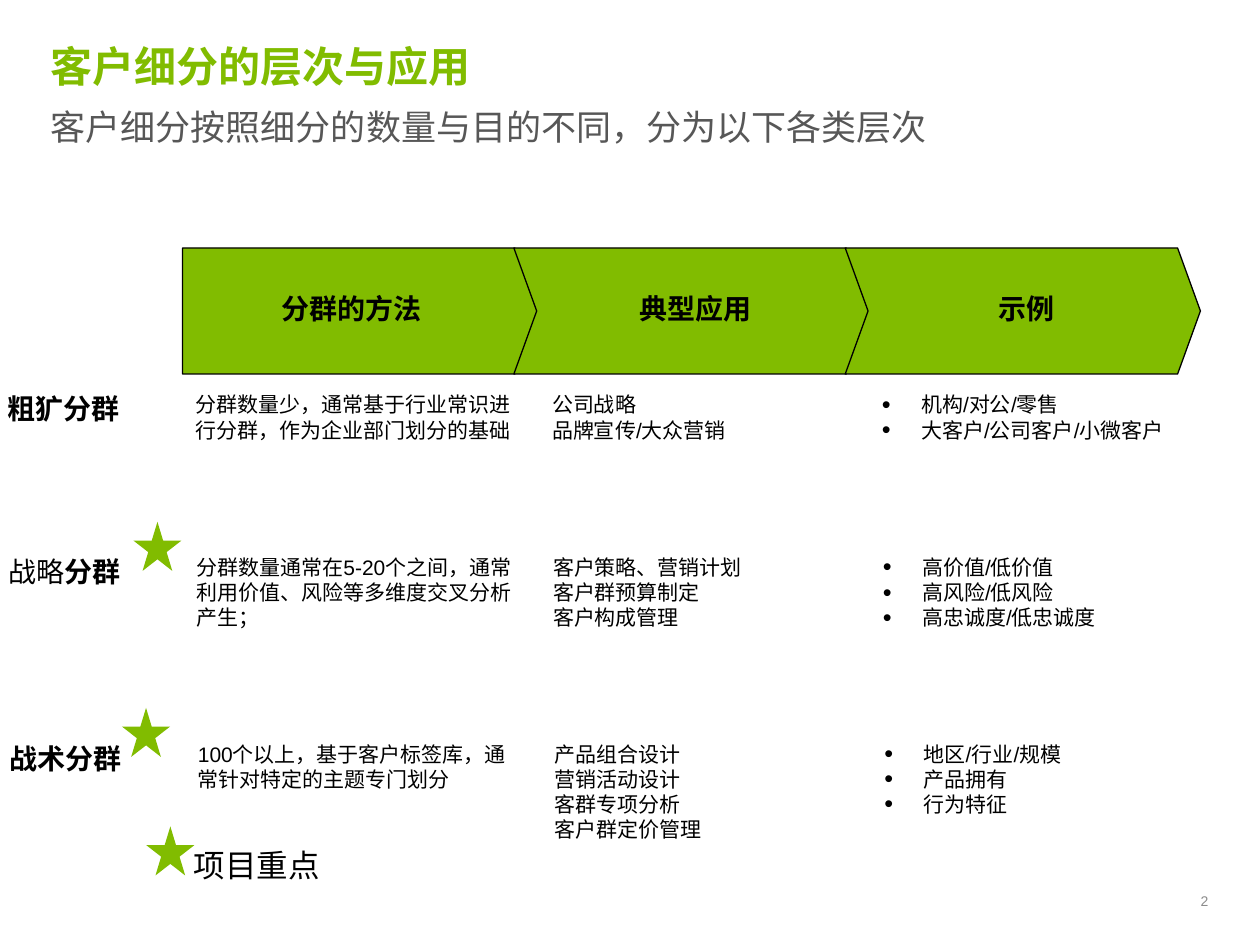
"""Build the slide on levels of customer segmentation and their use."""
from lxml.etree import SubElement
from pptx import Presentation
from pptx.dml.color import RGBColor
from pptx.enum.shapes import MSO_SHAPE as Form
from pptx.enum.text import MSO_ANCHOR as Anchor, PP_ALIGN as Align
from pptx.oxml.ns import qn
from pptx.util import Cm, Pt

GREEN = "81BC00"
BLACK = "000000"


def paint(fill, color):
    fill.solid()
    fill.fore_color.rgb = RGBColor.from_string(color)


def write(shape, text, size, color=BLACK, bold=False, font="Arial",
          align=Align.LEFT, anchor=Anchor.TOP, pad=(0, 0)):
    frame = shape.text_frame
    frame.text = text
    frame.word_wrap = True
    frame.vertical_anchor = anchor
    frame.margin_left = frame.margin_right = Cm(pad[0])
    frame.margin_top = frame.margin_bottom = Cm(pad[1])
    for para in frame.paragraphs:
        para.alignment = align
        for run in para.runs:
            run.font.name = font
            run.font.size = Pt(size)
            run.font.bold = bold
            paint(run.font.fill, color)
    return frame


deck = Presentation()
deck.slide_width, deck.slide_height = Cm(25.4), Cm(19.05)
slide = deck.slides.add_slide(deck.slide_layouts[6])
shapes = slide.shapes

title = shapes.add_textbox(Cm(1.02), Cm(0.81), Cm(23.29), Cm(1.3))
write(title, "客户细分的层次与应用", 24, GREEN, True, "Noto Sans Mono")
lead = shapes.add_textbox(Cm(1.02), Cm(2.13), Cm(23.29), Cm(2.69))
write(lead, "客户细分按照细分的数量与目的不同，分为以下各类层次", 20, "575757",
      font="Noto Sans Mono")
number = shapes.add_textbox(Cm(22.15), Cm(17.81), Cm(2.21), Cm(0.71))
write(number, "2", 8, "8C8C8C", align=Align.RIGHT, anchor=Anchor.MIDDLE)

top, high, body, tip = 5, 2.54, 6.7, 0.46
heads = [("分群的方法", 3.81, 6.55), ("典型应用", 10.97, 6.1), ("示例", 17.65, 6.1)]
for i, (text, x, wide) in enumerate(heads):
    left = 3.68 + i * 6.68
    notch = left + tip if i else left
    right = left + body
    points = [(right, top), (right + tip, top + high / 2), (right, top + high),
              (left, top + high), (notch, top + high / 2)]
    group = shapes.add_group_shape()
    pen = group.shapes.build_freeform(Cm(left), Cm(top))
    pen.add_line_segments([(Cm(px), Cm(py)) for px, py in points])
    arrow = pen.convert_to_shape()
    arrow.shadow.inherit = False
    paint(arrow.fill, GREEN)
    paint(arrow.line.fill, BLACK)
    arrow.line.width = Pt(0.75)
    label = group.shapes.add_shape(Form.RECTANGLE, Cm(x), Cm(5.13), Cm(wide), Cm(2.18))
    label.shadow.inherit = False
    paint(label.fill, GREEN)
    label.line.fill.background()
    write(label, text, 16, bold=True, align=Align.CENTER, anchor=Anchor.MIDDLE,
          pad=(0.13, 0))

cols = [(0.15, 3.53), (3.94, 6.35), (11.13, 6.58), (17.78, 6.58)]
rows = [
    (7.9, 0, 2, ["粗犷分群", "分群数量少，通常基于行业常识进行分群，作为企业部门划分的基础",
                 "公司战略\n品牌宣传/大众营销",
                 "机构/对公/零售\n大客户/公司客户/小微客户"]),
    (11.18, 0.02, 3, ["战略分群",
                      "分群数量通常在5-20个之间，通常利用价值、风险等多维度交叉分析产生；",
                      "客户策略、营销计划\n客户群预算制定\n客户构成管理",
                      "高价值/低价值\n高风险/低风险\n高忠诚度/低忠诚度"]),
    (14.94, 0.05, 4, ["战术分群", "100个以上，基于客户标签库，通常针对特定的主题专门划分",
                      "产品组合设计\n营销活动设计\n客群专项分析\n客户群定价管理",
                      "地区/行业/规模\n产品拥有\n行为特征"]),
]
for y, shift, lines, cells in rows:
    for i, ((x, wide), text) in enumerate(zip(cols, cells)):
        tall = 0.51 * lines if i else 0.69
        box = shapes.add_textbox(Cm(x + shift), Cm(y), Cm(wide), Cm(tall))
        frame = write(box, text, 12 if i else 16, bold=i == 0)
        if text == "战略分群":
            first = frame.paragraphs[0].runs[0]
            first.text = "战略"
            first.font.bold = False
            last = frame.paragraphs[0].add_run()
            last.text = "分群"
            last.font.name, last.font.size, last.font.bold = "Arial", Pt(16), True
            paint(last.font.fill, BLACK)
        if i == 3:
            for para in frame.paragraphs:
                props = para._p.get_or_add_pPr()
                props.set("marL", str(Cm(0.79)))
                props.set("indent", str(-Cm(0.79)))
                SubElement(props, qn("a:buSzPct"), val="120000")
                SubElement(props, qn("a:buFont"), typeface="Arial")
                SubElement(props, qn("a:buChar"), char="•")

legend = shapes.add_textbox(Cm(3.66), Cm(16.92), Cm(5.03), Cm(1.02))
write(legend, "项目重点", 18, pad=(0.25, 0.13))
for x, y in [(2.69, 10.52), (2.46, 14.27), (2.95, 16.66)]:
    star = shapes.add_shape(Form.STAR_5_POINT, Cm(x), Cm(y), Cm(0.97), Cm(0.99))
    star.shadow.inherit = False
    paint(star.fill, GREEN)
    star.line.fill.background()

deck.save("out.pptx")
